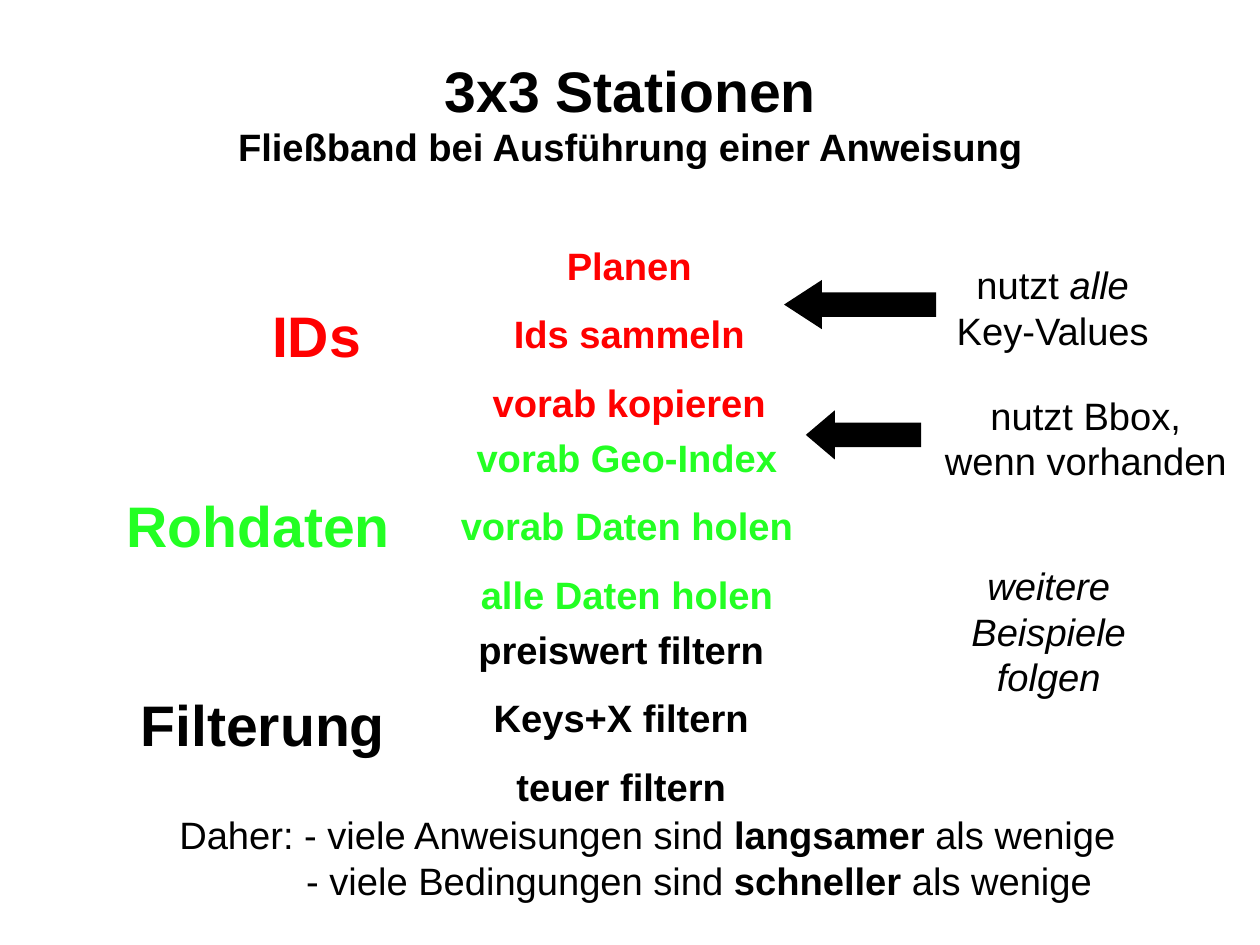
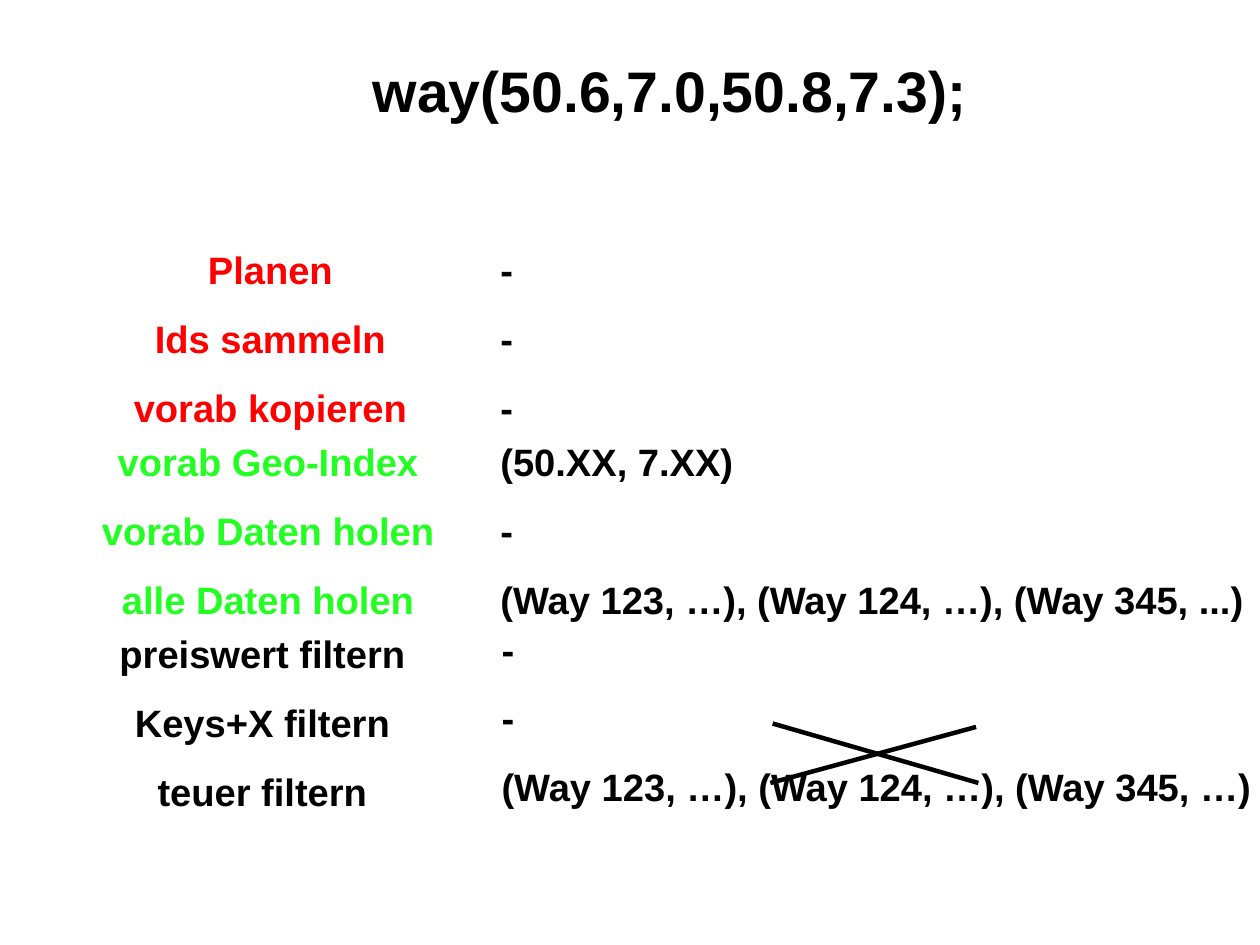
import dataclasses

import pptx
import pptx.dml.color
import pptx.enum.shapes
import pptx.enum.text
import pptx.util
from lxml import etree

Inches = pptx.util.Inches
ALIGN = pptx.enum.text.PP_ALIGN


def rgb(value):
    """Return a colour from its hex code."""
    return pptx.dml.color.RGBColor.from_string(value)


@dataclasses.dataclass(frozen=True)
class Theme:
    """Colours, font and type sizes that the slides share."""

    font: str = "Arial"
    ink: str = "000000"
    ids: str = "FF0000"
    raw: str = "23FF23"
    large: int = 36
    body: int = 24
    stroke: float = 2.83
    loose: float = 1.5


THEME = Theme()
STATION_PITCH = 1.68
STATIONS = [
    (0.28, 2.59, THEME.ids, ["Planen", "Ids sammeln", "vorab kopieren"]),
    (0, 3.11, THEME.raw, ["vorab Geo-Index", "vorab Daten holen", "alle Daten holen"]),
    (0.15, 2.71, THEME.ink, ["preiswert filtern", "Keys+X filtern", "teuer filtern"]),
]


def fill_paragraph(p, content, size, color=THEME.ink, bold=False, italic=False,
                   align=ALIGN.CENTER, spacing=None):
    """Write a string, or (text, bold, italic) runs, into a paragraph."""
    p.alignment = align
    p.line_spacing = spacing
    p.font.name, p.font.size = THEME.font, pptx.util.Pt(size)
    p.font.color.rgb = rgb(color)
    p.font.bold, p.font.italic = bold, italic
    runs = [(content, bold, italic)] if isinstance(content, str) else content
    for text, run_bold, run_italic in runs:
        r = p.add_run()
        r.text = text
        if run_bold != bold:
            r.font.bold = run_bold
        if run_italic != italic:
            r.font.italic = run_italic


def add_text(s, box, lines, size=THEME.body, **style):
    """Add a text box with one paragraph for each line."""
    tf = s.shapes.add_textbox(*map(Inches, box)).text_frame
    tf.word_wrap = False
    tf.auto_size = pptx.enum.text.MSO_AUTO_SIZE.SHAPE_TO_FIT_TEXT
    for i, line in enumerate(lines):
        p = tf.add_paragraph() if i else tf.paragraphs[0]
        fill_paragraph(p, line, size, **style)
    return tf


def add_slide(prs, box, title, subtitle=None):
    """Add a title-only slide and set its heading in the box."""
    s = prs.slides.add_slide(prs.slide_layouts[5])
    sp = s.shapes.title
    sp.left, sp.top, sp.width, sp.height = map(Inches, box)
    tf = sp.text_frame
    tf.word_wrap = False
    tf.auto_size = pptx.enum.text.MSO_AUTO_SIZE.NONE
    tf.vertical_anchor = pptx.enum.text.MSO_ANCHOR.TOP
    fill_paragraph(tf.paragraphs[0], title, THEME.large, bold=True)
    if subtitle:
        fill_paragraph(tf.add_paragraph(), subtitle, THEME.body, bold=True)
    return s


def add_stations(s, left, top):
    """Stack the three groups of stations from the given corner."""
    for i, (dx, width, color, names) in enumerate(STATIONS):
        add_text(s, (left + dx, top + i * STATION_PITCH, width, 1.77), names,
                 color=color, bold=True, spacing=THEME.loose)


def add_phases(s, left, top):
    """Place the name of each phase beside its stations."""
    phases = [
        ("IDs", 1.3, 0, 0.98, THEME.ids),
        ("Rohdaten", 0, 1.66, 2.56, THEME.raw),
        ("Filterung", 0.15, 3.4, 2.34, THEME.ink),
    ]
    for name, dx, dy, width, color in phases:
        add_text(s, (left + dx, top + dy, width, 0.94), [name], THEME.large,
                 color=color, bold=True, spacing=THEME.loose)


def add_hint(s, box, lines, arrow_left, arrow_width, head):
    """Add a hint with an arrow that points left from it."""
    add_text(s, box, lines)
    arrow = s.shapes.add_shape(
        pptx.enum.shapes.MSO_SHAPE.LEFT_ARROW, Inches(arrow_left),
        Inches(box[1] + 0.21), Inches(arrow_width), Inches(0.43))
    arrow.adjustments[0], arrow.adjustments[1] = 0.5, head
    arrow.shadow.inherit = False
    arrow.fill.solid()
    arrow.fill.fore_color.rgb = rgb(THEME.ink)
    arrow.line.fill.background()


def add_conclusion(s, box):
    """Add the two closing remarks, the second indented to the first dash."""
    tf = add_text(s, box, [
        [("Daher: - viele Anweisungen sind ", False, False),
         ("langsamer", True, False), (" als wenige", False, False)],
        [("- viele Bedingungen sind ", False, False),
         ("schneller", True, False), (" als wenige", False, False)],
    ], align=ALIGN.LEFT)
    ppr = tf.paragraphs[1]._p.get_or_add_pPr()
    ppr.set("marL", str(Inches(1.11)))
    ppr.set("indent", "0")


def add_results(s, left, top):
    """List what each station yields, in three groups."""
    groups = [
        (0, 0, 0.31, ["-", "-", "-"]),
        (0, 1.68, 6.7, ["(50.XX, 7.XX)", "-",
                        "(Way 123, …), (Way 124, …), (Way 345, ...)"]),
        (0.01, 3.32, 6.76, ["-", "-",
                            "(Way 123, …), (Way 124, …), (Way 345, …)"]),
    ]
    for dx, dy, width, lines in groups:
        add_text(s, (left + dx, top + dy, width, 1.77), lines, bold=True,
                 align=ALIGN.LEFT, spacing=THEME.loose)


def add_cross(s, left, top):
    """Strike out a result with two crossing lines."""
    for x1, y1, x2, y2 in [(0, 0.52, 1.8, 0.03), (0.02, 0, 1.82, 0.52)]:
        line = s.shapes.add_connector(
            pptx.enum.shapes.MSO_CONNECTOR.STRAIGHT, Inches(left + x1),
            Inches(top + y1), Inches(left + x2), Inches(top + y2))
        line.line.color.rgb = rgb(THEME.ink)
        line.line.width = pptx.util.Pt(THEME.stroke)
        etree.SubElement(line._element.spPr, pptx.oxml.ns.qn("a:effectLst"))


def build_overview(prs):
    """Build the slide that introduces the nine stations."""
    s = add_slide(prs, (1.98, 0.43, 7.07, 1.03), "3x3 Stationen",
                  "Fließband bei Ausführung einer Anweisung")
    add_stations(s, 3.93, 1.87)
    add_phases(s, 0.98, 2.28)
    add_hint(s, (8.27, 2.24, 1.88, 0.89),
             [[("nutzt ", False, False), ("alle", False, True)], "Key-Values"],
             6.86, 1.33, 0.77)
    add_hint(s, (8.13, 3.38, 2.74, 0.89), ["nutzt Bbox,", "wenn vorhanden"],
             7.05, 1.01, 0.59)
    add_text(s, (8.4, 4.87, 1.55, 1.21), ["weitere", "Beispiele", "folgen"],
             italic=True)
    add_conclusion(s, (1.47, 7.05, 8.39, 0.84))


def build_example(prs):
    """Build the slide that follows one query through the stations."""
    s = add_slide(prs, (3.16, 0.43, 5.4, 0.66), "way(50.6,7.0,50.8,7.3);")
    add_stations(s, 0.79, 1.91)
    add_results(s, 4.28, 1.91)
    add_cross(s, 6.74, 6.33)


def main():
    """Build and save the presentation."""
    prs = pptx.Presentation()
    prs.slide_width, prs.slide_height = Inches(28 / 2.54), Inches(21 / 2.54)
    prs.element.sldSz.attrib.pop("type", None)
    build_overview(prs)
    build_example(prs)
    prs.save("out.pptx")


if __name__ == "__main__":
    main()
